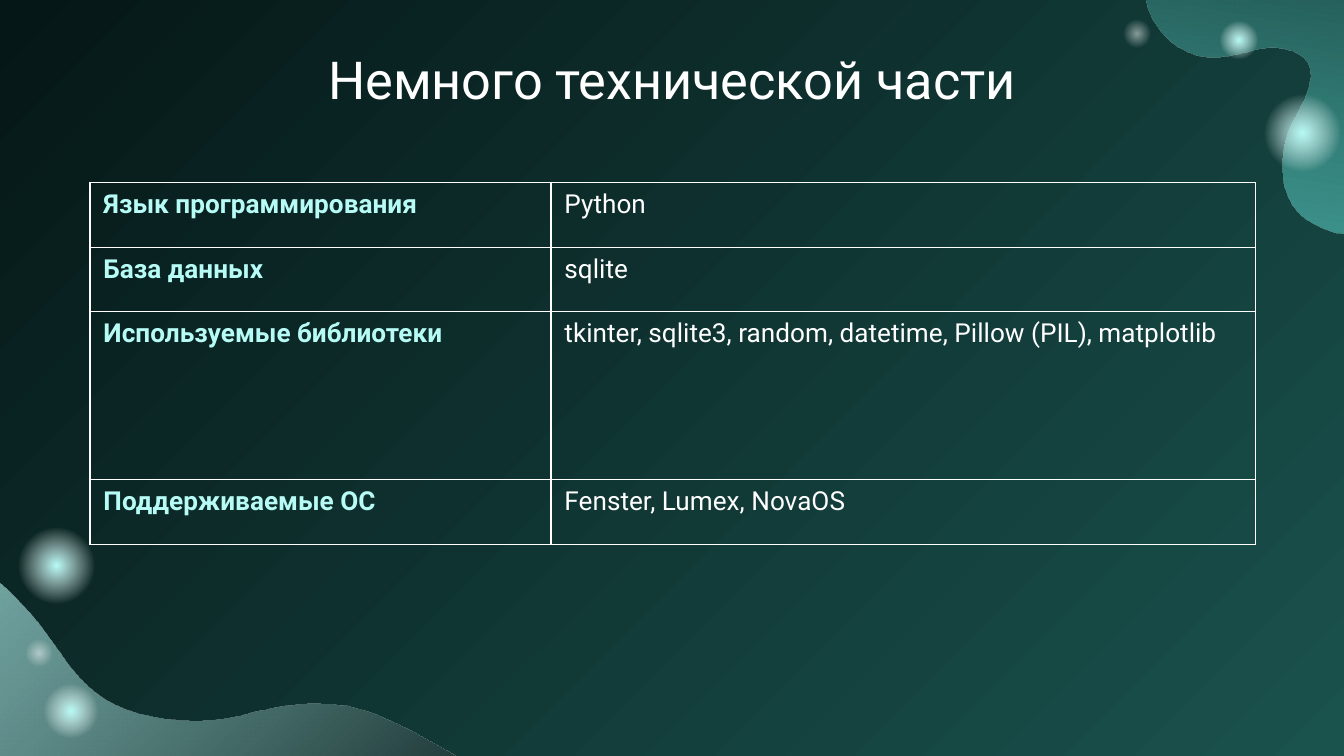
from lxml import etree
from pptx import Presentation
from pptx import util as u
from pptx.dml.color import RGBColor
from pptx.enum import shapes, text
from pptx.oxml.ns import qn

WIDTH = 10
HEIGHT = WIDTH * 9 / 16
FONT = "Roboto"
WHITE, MINT, DEEP, TEAL, AQUA = "FFFFFF", "B7FBF6", "051716", "1A524E", "63E6DB"

TITLE = "Немного технической части"
FACTS = [
    ("Язык программирования", "Python"),
    ("База данных", "sqlite"),
    ("Используемые библиотеки",
     "tkinter, sqlite3, random, datetime, Pillow (PIL), matplotlib"),
    ("Поддерживаемые ОС", "Fenster, Lumex, NovaOS"),
]
COLUMN_WIDTHS = (3.43, 5.24)
ROW_HEIGHTS = (0.48, 0.48, 1.25, 0.48)

# Wave: start point, cubic curves (two controls and an end), straight corners,
# end colour of the gradient, its angle
WAVES = [
    ((7.92, -1.09), [
        (8.04, -1.08, 8.2, -0.97, 8.28, -0.9),
        (8.35, -0.84, 8.42, -0.75, 8.45, -0.68),
        (8.5, -0.56, 8.5, -0.42, 8.5, -0.29),
        (8.5, -0.2, 8.5, -0.11, 8.52, -0.02),
        (8.57, 0.21, 8.72, 0.37, 8.94, 0.42),
        (9.17, 0.47, 9.39, 0.29, 9.62, 0.38),
        (9.88, 0.48, 9.69, 0.76, 9.61, 0.92),
        (9.52, 1.11, 9.5, 1.4, 9.65, 1.57),
        (9.72, 1.65, 9.84, 1.7, 9.94, 1.73),
        (10.06, 1.75, 10.18, 1.72, 10.3, 1.74),
        (10.4, 1.75, 10.54, 1.8, 10.61, 1.89),
        (10.68, 1.99, 10.71, 2.11, 10.75, 2.22),
        (10.91, 2.66, 11.3, 3.05, 11.78, 3.14),
        (11.84, 3.15, 11.93, 3.16, 11.99, 3.14),
    ], [(10.93, -1.81)], AQUA, 100),
    ((-1.31, 3.93), [
        (-1.24, 3.91, -1.18, 3.9, -1.11, 3.9),
        (-0.82, 3.9, -0.51, 4.02, -0.29, 4.13),
        (-0.02, 4.28, 0.15, 4.46, 0.33, 4.69),
        (0.48, 4.89, 0.6, 5.11, 0.84, 5.23),
        (1.1, 5.36, 1.5, 5.39, 1.79, 5.32),
        (2.09, 5.23, 2.47, 5.18, 2.77, 5.3),
        (3.09, 5.43, 3.39, 5.62, 3.67, 5.79),
        (3.85, 5.91, 4.03, 6.03, 4.19, 6.17),
    ], [(-1.3, 6.17)], MINT, 225),
]

LARGE, MEDIUM, SMALL = 0.64, 0.45, 0.23
# Orb: centre x, centre y, diameter, core colour, core opacity
ORBS = [
    (0.42, 4.21, LARGE, MINT, 100), (0.53, 5.29, MEDIUM, MINT, 100),
    (0.29, 4.86, SMALL, WHITE, 50), (9.22, 0.3, 0.32, MINT, 100),
    (9.69, 0.99, LARGE, MINT, 100), (8.46, 0.25, SMALL, WHITE, 50),
]


def rgb(value):
    return RGBColor.from_string(value)


def set_gradient(fill, owner, stops, angle=None):
    """Fill with (position, colour, opacity) stops; radial without an angle."""
    fill.gradient()
    grad = owner.find(".//" + qn("a:gradFill"))
    for child in list(grad):
        grad.remove(child)
    stop_list = etree.SubElement(grad, qn("a:gsLst"))
    for position, color, opacity in stops:
        stop = etree.SubElement(stop_list, qn("a:gs"), pos=str(position * 1000))
        tint = etree.SubElement(stop, qn("a:srgbClr"), val=color)
        etree.SubElement(tint, qn("a:alpha"), val=str(opacity * 1000))
    if angle is None:
        radial = etree.SubElement(grad, qn("a:path"), path="circle")
        sides = dict.fromkeys("ltrb", "50000")
        etree.SubElement(radial, qn("a:fillToRect"), sides)
    else:
        etree.SubElement(grad, qn("a:lin"), ang=str(angle * 60000), scaled="0")


def decorate(shape, stops, angle=None):
    shape.shadow.inherit = False
    shape.line.fill.background()
    set_gradient(shape.fill, shape._element, stops, angle)


def trace(start, curves, steps=10):
    """Points along a chain of cubic Bezier curves."""
    x, y = start
    for ax, ay, bx, by, end_x, end_y in curves:
        for step in range(1, steps + 1):
            t = step / steps
            s = 1 - t
            weights = (s ** 3, 3 * s * s * t, 3 * s * t * t, t ** 3)
            yield tuple(sum(w * c for w, c in zip(weights, axis))
                        for axis in ((x, ax, bx, end_x), (y, ay, by, end_y)))
        x, y = end_x, end_y


def add_wave(slide, start, curves, corners, color, angle):
    grid = 1000  # units per inch
    outline = [*trace(start, curves), *corners]
    builder = slide.shapes.build_freeform(
        start[0] * grid, start[1] * grid, scale=u.Inches(1) / grid)
    builder.add_line_segments([(x * grid, y * grid) for x, y in outline])
    decorate(builder.convert_to_shape(), [(0, DEEP, 100), (100, color, 70)], angle)


def add_orb(slide, x, y, size, color, opacity):
    orb = slide.shapes.add_shape(
        shapes.MSO_SHAPE.OVAL, u.Inches(x - size / 2), u.Inches(y - size / 2),
        u.Inches(size), u.Inches(size))
    decorate(orb, [(0, color, opacity), (63, WHITE, 0), (100, WHITE, 0)])


def write(paragraph, words, size, color, bold=False):
    run = paragraph.add_run()
    run.text = words
    run.font.name, run.font.size, run.font.bold = FONT, u.Pt(size), bold
    run.font.color.rgb = rgb(color)


def add_title(slide):
    title = slide.shapes.title
    slide.shapes._spTree.append(title._element)  # in front of the decoration
    title.left, title.top = u.Inches(0.79), u.Inches(0.25)
    title.width, title.height = u.Inches(WIDTH - 2 * 0.79), u.Inches(0.63)
    frame = title.text_frame
    frame.margin_left = frame.margin_right = u.Inches(0.1)
    frame.margin_top = frame.margin_bottom = u.Inches(0.1)
    frame.vertical_anchor = text.MSO_ANCHOR.TOP
    frame.auto_size = text.MSO_AUTO_SIZE.NONE
    frame.paragraphs[0].alignment = text.PP_ALIGN.CENTER
    write(frame.paragraphs[0], TITLE, 28, WHITE)


def add_borders(cell):
    properties = cell._tc.get_or_add_tcPr()
    for index, side in enumerate(("lnL", "lnR", "lnT", "lnB")):
        line = etree.Element(qn("a:" + side), w=str(u.Pt(0.75)))
        solid = etree.SubElement(line, qn("a:solidFill"))
        etree.SubElement(solid, qn("a:srgbClr"), val=WHITE)
        properties.insert(index, line)


def add_facts(slide):
    table = slide.shapes.add_table(
        len(FACTS), len(COLUMN_WIDTHS), u.Inches(0.67), u.Inches(1.36),
        u.Inches(sum(COLUMN_WIDTHS)), u.Inches(sum(ROW_HEIGHTS))).table
    table.first_row = table.horz_banding = False
    for column, width in zip(table.columns, COLUMN_WIDTHS):
        column.width = u.Inches(width)
    for row, height, fact in zip(table.rows, ROW_HEIGHTS, FACTS):
        row.height = u.Inches(height)
        for index, (cell, words) in enumerate(zip(row.cells, fact)):
            is_label = index == 0
            cell.fill.background()
            add_borders(cell)
            paragraph = cell.text_frame.paragraphs[0]
            if not is_label:
                paragraph.space_after = u.Pt(16)
            write(paragraph, words, 14, MINT if is_label else WHITE, is_label)


def main():
    deck = Presentation()
    deck.slide_width, deck.slide_height = u.Inches(WIDTH), u.Inches(HEIGHT)
    slide = deck.slides.add_slide(deck.slide_layouts.get_by_name("Title Only"))
    set_gradient(slide.background.fill, slide._element,
                 [(0, DEEP, 100), (100, TEAL, 100)], 45)
    for wave in WAVES:
        add_wave(slide, *wave)
    for orb in ORBS:
        add_orb(slide, *orb)
    add_title(slide)
    add_facts(slide)
    deck.save("out.pptx")


if __name__ == "__main__":
    main()
